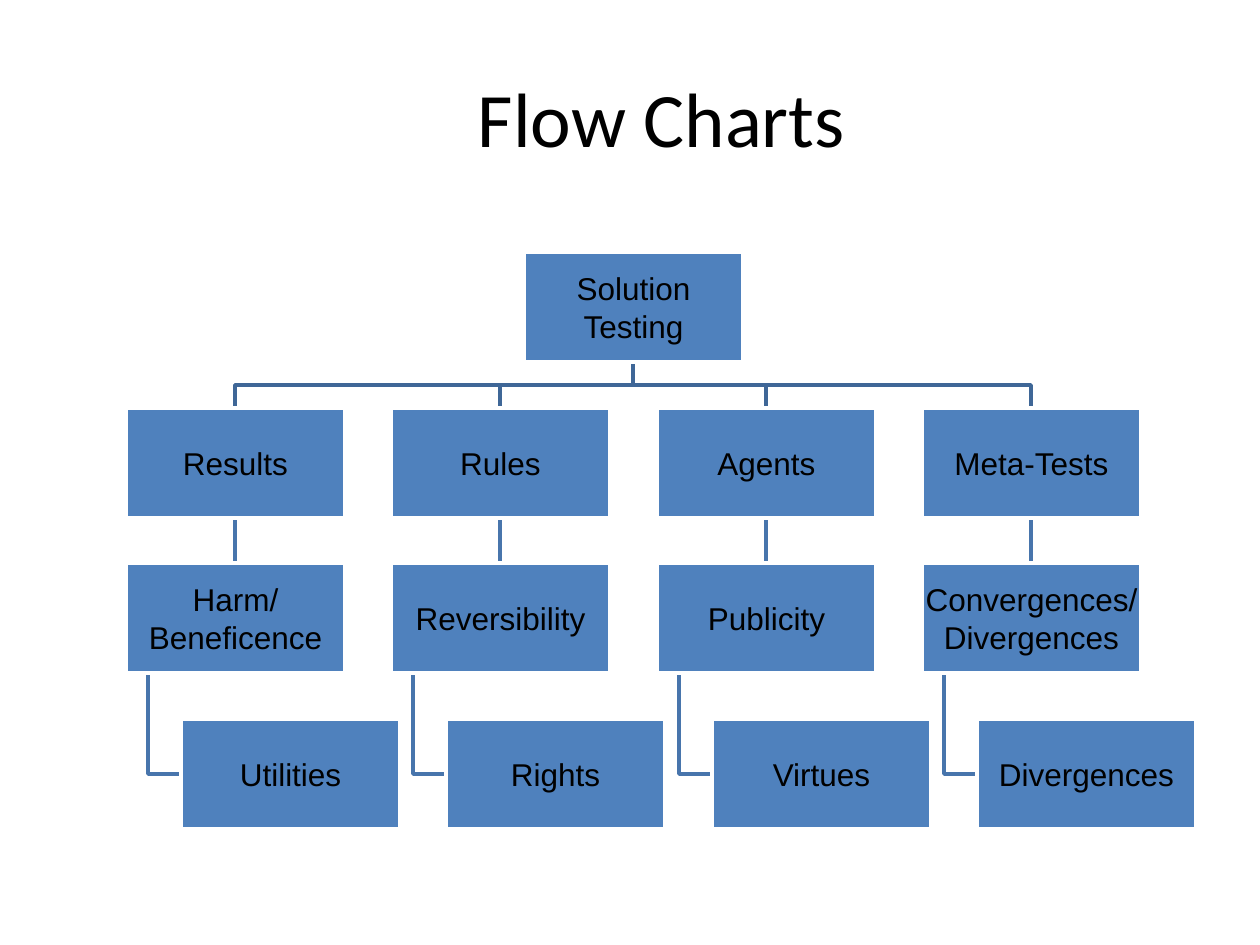
from dataclasses import dataclass

from lxml.etree import SubElement
from pptx import Presentation
from pptx.dml.color import RGBColor
from pptx.enum.shapes import MSO_CONNECTOR, MSO_SHAPE
from pptx.enum.text import MSO_ANCHOR, PP_ALIGN
from pptx.oxml.ns import qn
from pptx.text.text import TextFrame
from pptx.util import Pt

PX = 914400 / 126
BOX_W, BOX_H = 219, 110
LEFT, TOP = 126, 252
COLUMN_SPAN, ROW_SPAN = 796, 467
LEAF_INDENT, ELBOW_INDENT = 55, 22
BLUE, BUS_BLUE, LINK_BLUE = "4F81BD", "3F6797", "4875AC"
BLACK, WHITE = "000000", "FFFFFF"


@dataclass(frozen=True)
class Branch:
    test: str
    criterion: str
    leaf: str


BRANCHES = [
    Branch("Results", "Harm/\nBeneficence", "Utilities"),
    Branch("Rules", "Reversibility", "Rights"),
    Branch("Agents", "Publicity", "Virtues"),
    Branch("Meta-Tests", "Convergences/\nDivergences", "Divergences"),
]


def emu(pixels: float) -> int:
    return round(pixels * PX)


def color(value: str) -> RGBColor:
    return RGBColor.from_string(value)


def write(frame: TextFrame, text: str, font: str, size: int) -> None:
    frame.word_wrap = True
    frame.vertical_anchor = MSO_ANCHOR.MIDDLE
    frame.text = text
    for paragraph in frame.paragraphs:
        paragraph.alignment = PP_ALIGN.CENTER
        paragraph.font.name = font
        paragraph.font.size = Pt(size)
        paragraph.font.color.rgb = color(BLACK)


def add_box(left: int, top: int, text: str) -> None:
    box = slide.shapes.add_shape(
        MSO_SHAPE.RECTANGLE, emu(left), emu(top), emu(BOX_W), emu(BOX_H))
    box.shadow.inherit = False
    box.fill.solid()
    box.fill.fore_color.rgb = color(BLUE)
    box.line.color.rgb = color(WHITE)
    box.line.width = Pt(2)
    frame = box.text_frame
    frame.margin_left = frame.margin_right = emu(1)
    frame.margin_top = frame.margin_bottom = emu(1)
    write(frame, text, "Arial", 18)


def add_bent_line(points: list[tuple[int, int]], stroke: str) -> None:
    builder = slide.shapes.build_freeform(*points[0], scale=PX)
    builder.add_line_segments(points[1:], close=False)
    bend = builder.convert_to_shape()
    bend.shadow.inherit = False
    bend.fill.background()
    bend.line.color.rgb = color(stroke)
    bend.line.width = Pt(2)


def add_drop(x: int, top: int, bottom: int) -> None:
    drop = slide.shapes.add_connector(
        MSO_CONNECTOR.STRAIGHT, emu(x), emu(top), emu(x), emu(bottom))
    drop.line.color.rgb = color(LINK_BLUE)
    drop.line.width = Pt(2)
    SubElement(drop._element.spPr, qn("a:effectLst"))


presentation = Presentation()
presentation.slide_width = emu(1260)
presentation.slide_height = emu(945)
slide = presentation.slides.add_slide(presentation.slide_layouts[6])

title = slide.shapes.add_textbox(emu(126), emu(38), emu(1071), emu(158))
write(title.text_frame, "Flow Charts", "Calibri", 44)

columns = [LEFT + round(COLUMN_SPAN * i / 3) for i in range(4)]
root_top, test_top, criterion_top, leaf_top = (
    TOP + round(ROW_SPAN * i / 3) for i in range(4))
root_left = LEFT + COLUMN_SPAN // 2
root_center = root_left + BOX_W // 2
root_bottom = root_top + BOX_H
bus_y = (root_bottom + test_top) // 2
leaf_middle = leaf_top + BOX_H // 2

for left in columns:
    center = left + BOX_W // 2
    elbow = left + ELBOW_INDENT
    add_bent_line([(elbow, criterion_top + BOX_H), (elbow, leaf_middle),
                   (left + LEAF_INDENT, leaf_middle)], LINK_BLUE)
    add_drop(center, test_top + BOX_H, criterion_top)
    add_bent_line([(root_center, root_bottom), (root_center, bus_y),
                   (center, bus_y), (center, test_top)], BUS_BLUE)

add_box(root_left, root_top, "Solution\nTesting")
for left, branch in zip(columns, BRANCHES):
    add_box(left, test_top, branch.test)
    add_box(left, criterion_top, branch.criterion)
    add_box(left + LEAF_INDENT, leaf_top, branch.leaf)

presentation.save("out.pptx")
